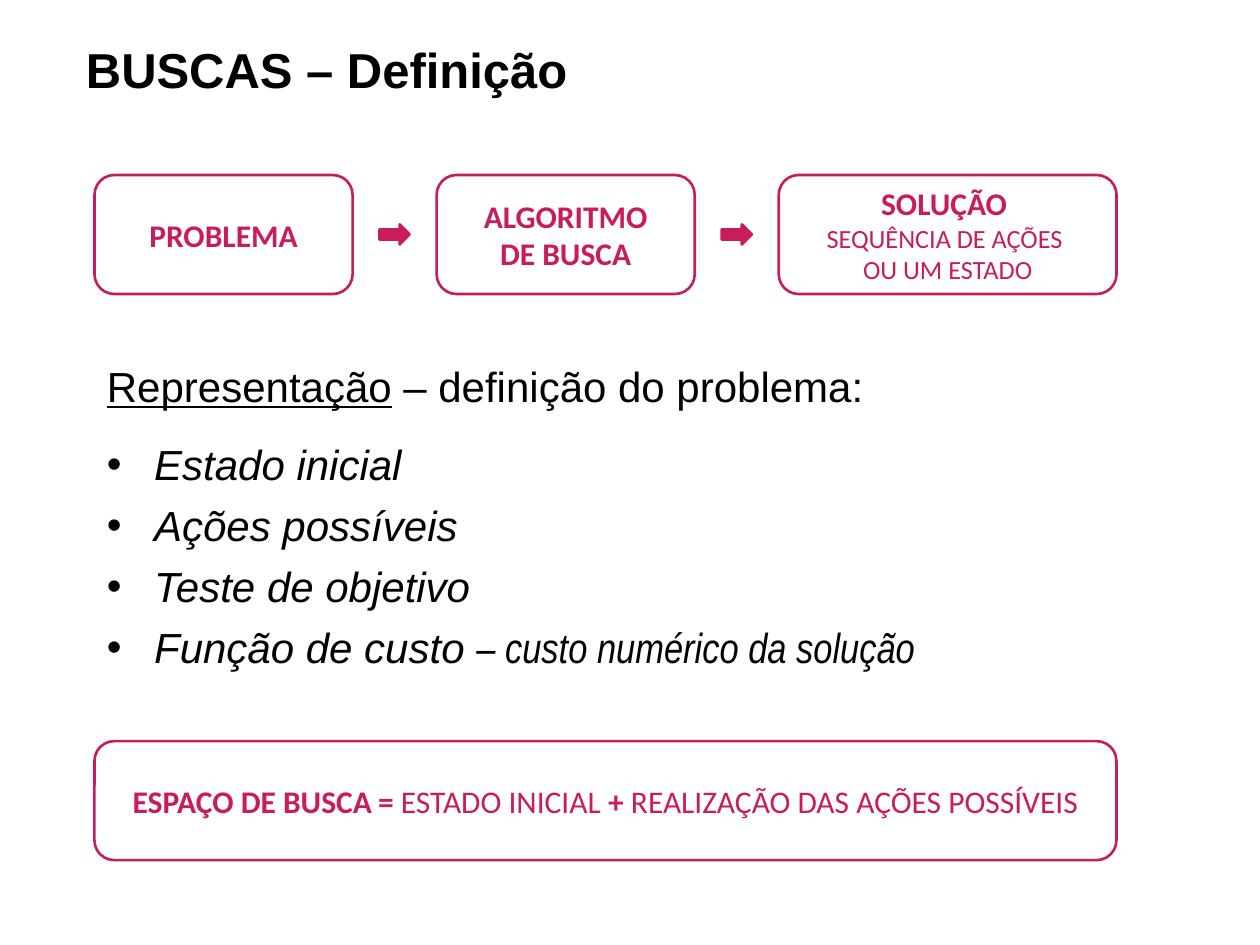
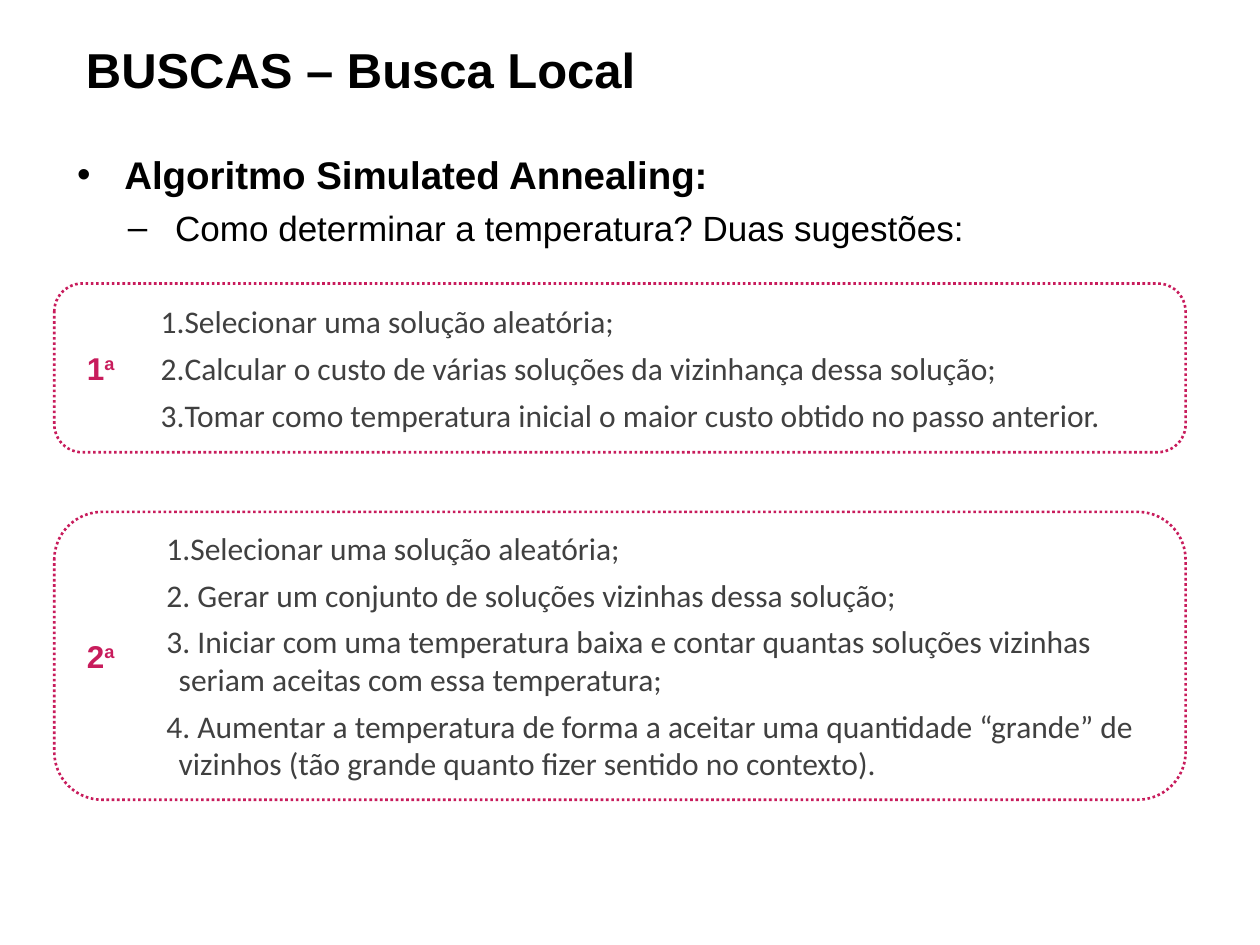
"""Build two slides on search algorithms: problem definition and local search."""
from dataclasses import dataclass

from lxml.etree import SubElement
from pptx import Presentation
from pptx.dml.color import RGBColor as Rgb
from pptx.enum.dml import MSO_LINE_DASH_STYLE as Dash
from pptx.enum.shapes import MSO_SHAPE as Shape
from pptx.enum.text import MSO_ANCHOR as Anchor, PP_ALIGN as Align
from pptx.oxml.ns import qn
from pptx.util import Pt


@dataclass(frozen=True)
class Theme:
    accent: Rgb = Rgb(0xC8, 0x1C, 0x5C)
    ink: Rgb = Rgb(0, 0, 0)
    step_ink: Rgb = Rgb(0x40, 0x40, 0x40)
    title_size: int = 28
    body_size: int = 24
    topic_size: int = 22
    subtopic_size: int = 20
    label_size: int = 18
    small_size: int = 15
    outline: float = 1.5
    heading_font: str = "Arial"
    narrow_font: str = "Arial Narrow"
    box_font: str = "Calibri"


THEME = Theme()
BODY = dict(name=THEME.heading_font, size=Pt(THEME.body_size), color=THEME.ink)
TITLE = BODY | dict(size=Pt(THEME.title_size), bold=True)
ITEM = BODY | dict(italic=True)
TOPIC = BODY | dict(size=Pt(THEME.topic_size), bold=True)
SUBTOPIC = BODY | dict(size=Pt(THEME.subtopic_size))
LABEL = dict(name=THEME.box_font, size=Pt(THEME.label_size), color=THEME.accent)
STRONG = LABEL | dict(bold=True)
SMALL = LABEL | dict(size=Pt(THEME.small_size))
STEP = LABEL | dict(color=THEME.step_ink)
ORDINAL = STRONG | dict(name=THEME.heading_font)


def set_bullet(para, mark, left, hang):
    props = para._p.get_or_add_pPr()
    props.set("marL", str(Pt(left)))
    props.set("indent", str(Pt(-hang)))
    if mark == "1.":
        SubElement(props, qn("a:buAutoNum"), type="arabicPeriod")
    else:
        SubElement(props, qn("a:buFont"), typeface=THEME.heading_font)
        SubElement(props, qn("a:buChar"), char=mark)


def add_span(para, text, style):
    span = para.add_run()
    span.text = text
    for key, value in style.items():
        if key == "color":
            span.font.color.rgb = value
        elif key == "baseline":
            span._r.get_or_add_rPr().set(key, value)
        else:
            setattr(span.font, key, value)


def write(box, lines):
    """Fill a box with (spans, paragraph format, bullet) lines."""
    frame = box.text_frame
    for index, (spans, layout, bullet) in enumerate(lines):
        para = frame.add_paragraph() if index else frame.paragraphs[0]
        if bullet:
            set_bullet(para, *bullet)
        for key, value in layout.items():
            setattr(para, key, value)
        for text, style in spans:
            add_span(para, text, style)


def add_text(page, place, lines, wrap=True):
    box = page.shapes.add_textbox(*map(Pt, place))
    box.text_frame.word_wrap = wrap
    write(box, lines)


def add_shape(page, kind, place, fill=None, dash=None):
    shape = page.shapes.add_shape(kind, *map(Pt, place))
    shape.shadow.inherit = False
    if fill:
        shape.fill.solid()
        shape.fill.fore_color.rgb = fill
    else:
        shape.fill.background()
    shape.line.color.rgb = THEME.accent
    shape.line.width = Pt(THEME.outline)
    if dash:
        shape.line.dash_style = dash
    return shape


def add_panel(page, place, lines, dash=None):
    panel = add_shape(page, Shape.ROUNDED_RECTANGLE, place, dash=dash)
    panel.text_frame.word_wrap = True
    panel.text_frame.vertical_anchor = Anchor.MIDDLE
    write(panel, lines)


def centered(*spans):
    return spans, dict(alignment=Align.CENTER), None


def add_page(deck, title):
    page = deck.slides.add_slide(deck.slide_layouts[6])
    add_text(page, (42, 19, 675, 41), [([(title, TITLE)], {}, None)])
    return page


def add_flow(page, left, top, height, gap, stages):
    """Draw the stages in a row with an arrow centred in each gap."""
    arrow_width, arrow_height = 17.3, 11.5
    for index, (width, lines) in enumerate(stages):
        if index:
            add_shape(page, Shape.RIGHT_ARROW,
                      (left - (gap + arrow_width) / 2, top + (height - arrow_height) / 2,
                       arrow_width, arrow_height), fill=THEME.accent)
        add_panel(page, (left, top, width, height), lines)
        left += width + gap


def add_suggestion(page, number, top, height, steps):
    layout = dict(level=2, alignment=Align.LEFT, space_after=Pt(5))
    lines = [([(step, STEP)], layout, ("1.", 56, 7)) for step in steps]
    add_panel(page, (31, top, 646.5, height), lines, dash=Dash.ROUND_DOT)
    ordinal = [(number, ORDINAL), ("a", ORDINAL | dict(baseline="30000"))]
    label_height = 29
    add_text(page, (42.5, top + (height - label_height) / 2, 32, label_height),
             [(ordinal, {}, None)], wrap=False)


def build_definition(deck):
    page = add_page(deck, "BUSCAS – Definição")
    add_flow(page, 54, 100, 68, 48, [
        (147.5, [centered(("PROBLEMA", STRONG))]),
        (147.5, [centered(("ALGORITMO", STRONG)), centered(("DE BUSCA", STRONG))]),
        (193, [centered(("SOLUÇÃO ", STRONG)),
               centered(("SEQUÊNCIA DE AÇÕES ", SMALL)),
               centered(("OU UM ESTADO", SMALL))]),
    ])
    intro = [("Representação", BODY | dict(underline=True)),
             (" – definição do problema:", BODY)]
    items = [
        [("Estado inicial", ITEM)],
        [("Ações possíveis", ITEM)],
        [("Teste de objetivo", ITEM)],
        [("Função de custo ", ITEM),
         ("– custo numérico da solução", ITEM | dict(name=THEME.narrow_font))],
    ]
    layout = dict(alignment=Align.JUSTIFY, space_after=Pt(6))
    lines = [(intro, layout | dict(space_after=Pt(16)), None)]
    lines += [(item, layout, ("•", 27, 27)) for item in items]
    add_text(page, (54, 202.5, 578, 251), lines)
    add_panel(page, (54, 423.5, 584, 68), [centered(
        ("ESPAÇO DE BUSCA", STRONG), (" ", SMALL), ("= ", STRONG),
        ("ESTADO INICIAL ", LABEL), ("+", STRONG),
        (" REALIZAÇÃO DAS AÇÕES POSSÍVEIS", LABEL))])


def build_local_search(deck):
    page = add_page(deck, "BUSCAS – Busca Local")
    layout = dict(alignment=Align.JUSTIFY, space_after=Pt(5))
    add_text(page, (37, 83, 657, 63), [
        ([("Algoritmo Simulated Annealing:", TOPIC)], layout, ("•", 27, 27)),
        ([("Como determinar a temperatura? Duas sugestões:", SUBTOPIC)],
         layout | dict(level=1), ("–", 56, 27)),
    ])
    add_suggestion(page, "1", 162, 96.5, [
        "Selecionar uma solução aleatória;",
        "Calcular o custo de várias soluções da vizinhança dessa solução;",
        "Tomar como temperatura inicial o maior custo obtido no passo anterior.",
    ])
    add_suggestion(page, "2", 292.5, 164.5, [
        "Selecionar uma solução aleatória;",
        " Gerar um conjunto de soluções vizinhas dessa solução;",
        " Iniciar com uma temperatura baixa e contar quantas soluções vizinhas "
        "seriam aceitas com essa temperatura;",
        " Aumentar a temperatura de forma a aceitar uma quantidade “grande” de "
        "vizinhos (tão grande quanto fizer sentido no contexto).",
    ])


def main():
    deck = Presentation()
    deck.slide_width, deck.slide_height = Pt(720), Pt(540)
    build_definition(deck)
    build_local_search(deck)
    deck.save("out.pptx")


if __name__ == "__main__":
    main()
